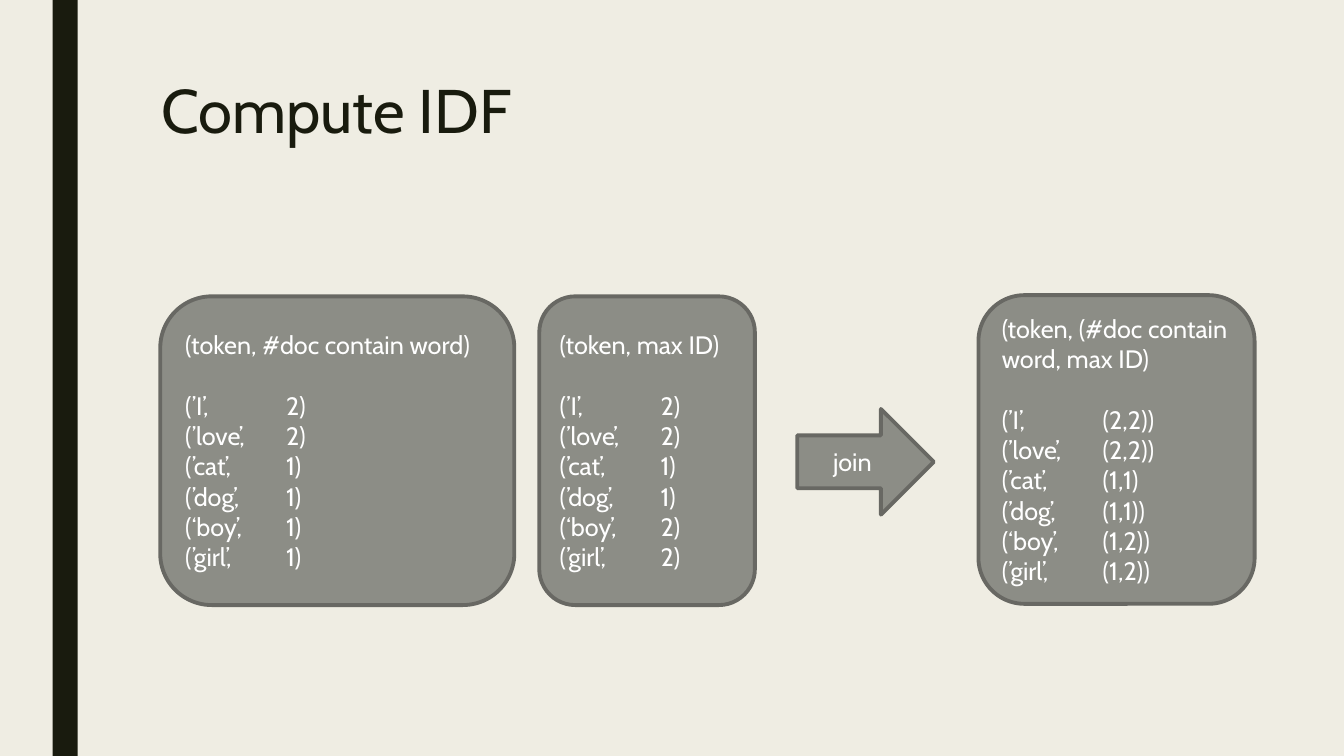
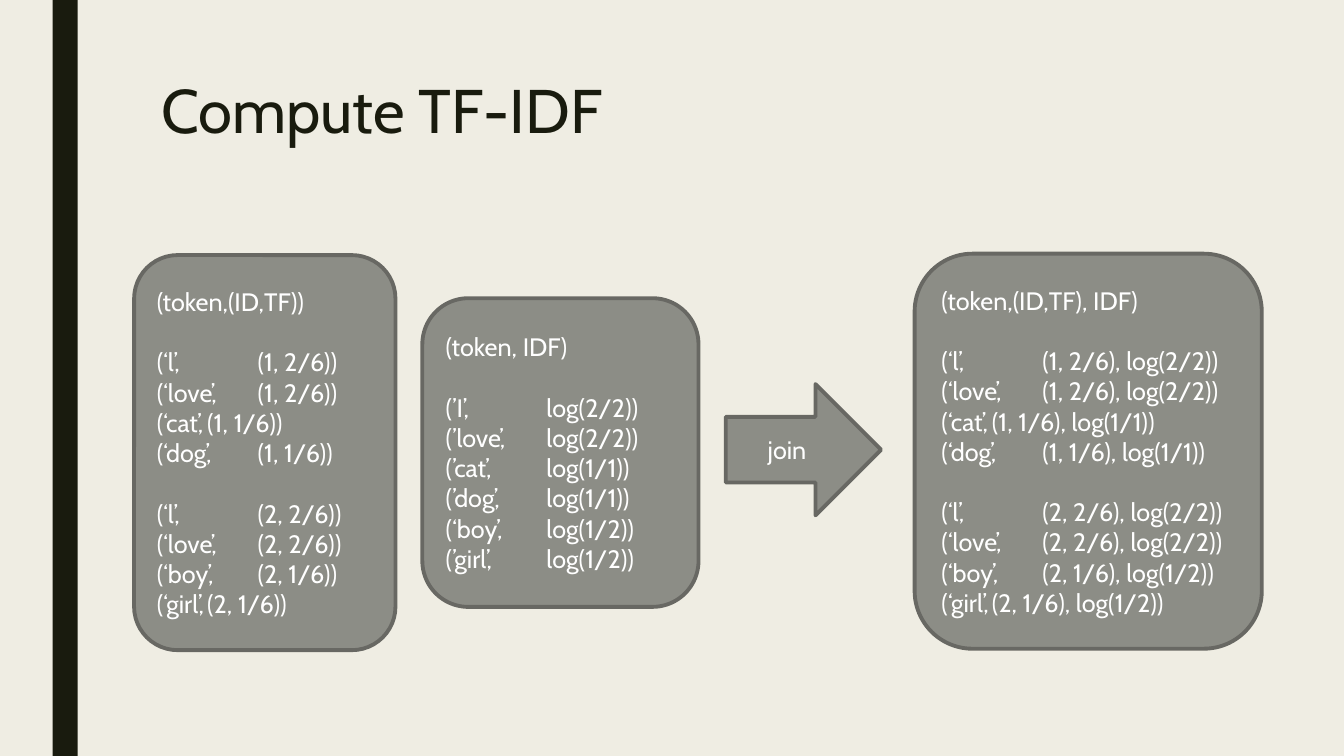
from dataclasses import dataclass

from pptx import Presentation
from pptx.dml.color import RGBColor
from pptx.enum.shapes import MSO_SHAPE as Shape
from pptx.enum.text import MSO_ANCHOR as Anchor, MSO_AUTO_SIZE as AutoSize, PP_ALIGN as Align
from pptx.oxml.ns import qn
from pptx.util import Pt
from lxml import etree

COLORS = {
    "background": "EFEDE3",
    "dark": "191B0E",
    "fill": "8C8D86",
    "outline": "686863",
    "text": "FFFFFF",
}
FONT = "Cabin"
BODY_SIZE = 18
LINE_HEIGHT = 21.6
TAB_STOPS = (36, 72)
TITLE_ONLY = 5


@dataclass(frozen=True)
class Box:
    left: float
    top: float
    width: float
    height: float


@dataclass(frozen=True)
class Card:
    box: Box
    header: str
    groups: list[list[str]]


@dataclass(frozen=True)
class Page:
    title: str
    cards: list[Card]
    arrow: Box


BAND = Box(37.5, 0, 18, 540)
TITLE = Box(108, 54, 756, 116.6)

# Row starts: the token and the tabs that lead to its value
VOCABULARY = ("(’I’, \t\t", "(’love’, \t", "(’cat’, \t", "(’dog’, \t", "(‘boy’, \t", "(’girl’, \t")
DOC_1 = ("(‘l’,\t\t", "(‘love’,\t", "(‘cat’,\t", "(‘dog’,\t")
DOC_2 = ("(‘l’,\t\t", "(‘love’,\t", "(‘boy’,\t", "(‘girl’,\t")


def rows(starts: tuple, *values: str) -> list[str]:
    return [start + value for start, value in zip(starts, values, strict=True)]


PAGES = [
    Page(
        "Compute IDF",
        [
            Card(Box(114.5, 211.7, 252.9, 220.5), "(token, #doc contain word)",
                 [rows(VOCABULARY, "2)", "2)", "1)", "1)", "1)", "1)")]),
            Card(Box(385.2, 211.7, 154, 220.5), "(token, max ID)",
                 [rows(VOCABULARY, "2)", "2)", "1)", "1)", "2)", "2)")]),
            Card(Box(698.9, 210.8, 197.3, 220.5), "(token, (#doc contain word, max ID)",
                 [rows(VOCABULARY, "(2,2))", "(2,2))", "(1,1)", "(1,1))", "(1,2))", "(1,2))")]),
        ],
        Box(569.5, 292.1, 97.5, 75.5),
    ),
    Page(
        "Compute TF-IDF",
        [
            Card(Box(95.8, 182.2, 186.7, 282.2), "(token,(ID,TF))",
                 [rows(DOC_1, "(1, 2/6))", "(1, 2/6))", "(1, 1/6))", "(1, 1/6))"),
                  rows(DOC_2, "(2, 2/6))", "(2, 2/6))", "(2, 1/6))", "(2, 1/6))")]),
            Card(Box(301.7, 213, 197.3, 220.5), "(token, IDF)",
                 [rows(VOCABULARY, "log(2/2))", "log(2/2))", "log(1/1))",
                       "log(1/1))", "log(1/2))", "log(1/2))")]),
            Card(Box(653.3, 181.2, 248, 282.2), "(token,(ID,TF), IDF)",
                 [rows(DOC_1, "(1, 2/6), log(2/2))", "(1, 2/6), log(2/2))",
                       "(1, 1/6), log(1/1))", "(1, 1/6), log(1/1))"),
                  rows(DOC_2, "(2, 2/6), log(2/2))", "(2, 2/6), log(2/2))",
                       "(2, 1/6), log(1/2))", "(2, 1/6), log(1/2))")]),
        ],
        Box(518.4, 274.3, 111, 93.8),
    ),
]


def rgb(name: str) -> RGBColor:
    return RGBColor.from_string(COLORS[name])


def style_runs(p, size: float, color: str) -> None:
    for r in p.runs:
        r.font.name = FONT
        r.font.size = Pt(size)
        r.font.color.rgb = rgb(color)


def add_tab_stops(p) -> None:
    tabs = etree.SubElement(p._p.get_or_add_pPr(), qn("a:tabLst"))
    for stop in TAB_STOPS:
        etree.SubElement(tabs, qn("a:tab"), pos=str(Pt(stop)), algn="l")


def add_block(slide, kind: Shape, box: Box, fill: str, outline: str | None = None):
    sp = slide.shapes.add_shape(kind, Pt(box.left), Pt(box.top), Pt(box.width), Pt(box.height))
    sp.shadow.inherit = False
    sp.fill.solid()
    sp.fill.fore_color.rgb = rgb(fill)
    if outline:
        sp.line.color.rgb = rgb(outline)
        sp.line.width = Pt(2.75)
    else:
        sp.line.fill.background()
    return sp


def add_card(slide, card: Card) -> None:
    tf = add_block(slide, Shape.ROUNDED_RECTANGLE, card.box, "fill", "outline").text_frame
    tf.word_wrap = True
    tf.vertical_anchor = Anchor.MIDDLE
    tf.text = "\n".join([card.header] + [row for group in card.groups for row in group])
    for p in tf.paragraphs:
        p.alignment = Align.LEFT
        style_runs(p, BODY_SIZE, "text")

    # One line of space above each group of rows
    first_row = 1
    for group in card.groups:
        tf.paragraphs[first_row].space_before = Pt(LINE_HEIGHT)
        first_row += len(group)
    for p in tf.paragraphs[1:]:
        add_tab_stops(p)


def add_join_arrow(slide, box: Box) -> None:
    tf = add_block(slide, Shape.RIGHT_ARROW, box, "fill", "outline").text_frame
    tf.vertical_anchor = Anchor.MIDDLE
    tf.text = "join"
    p = tf.paragraphs[0]
    p.alignment = Align.CENTER
    style_runs(p, BODY_SIZE, "text")


def add_title(slide, text: str) -> None:
    title = slide.shapes.title
    title.left, title.top = Pt(TITLE.left), Pt(TITLE.top)
    title.width, title.height = Pt(TITLE.width), Pt(TITLE.height)
    tf = title.text_frame
    tf.text = text
    tf.word_wrap = True
    tf.auto_size = AutoSize.NONE
    tf.vertical_anchor = Anchor.TOP
    p = tf.paragraphs[0]
    p.alignment = Align.LEFT
    p.line_spacing = 0.89
    style_runs(p, 44, "dark")


def add_page(prs, page: Page) -> None:
    slide = prs.slides.add_slide(prs.slide_layouts[TITLE_ONLY])
    add_block(slide, Shape.RECTANGLE, BAND, "dark")
    add_title(slide, page.title)
    for card in page.cards:
        add_card(slide, card)
    add_join_arrow(slide, page.arrow)


def main() -> None:
    prs = Presentation()
    prs.slide_width, prs.slide_height = Pt(960), Pt(540)

    # Shared background
    background = prs.slide_master.background.fill
    background.solid()
    background.fore_color.rgb = rgb("background")

    for page in PAGES:
        add_page(prs, page)
    prs.save("out.pptx")


if __name__ == "__main__":
    main()
